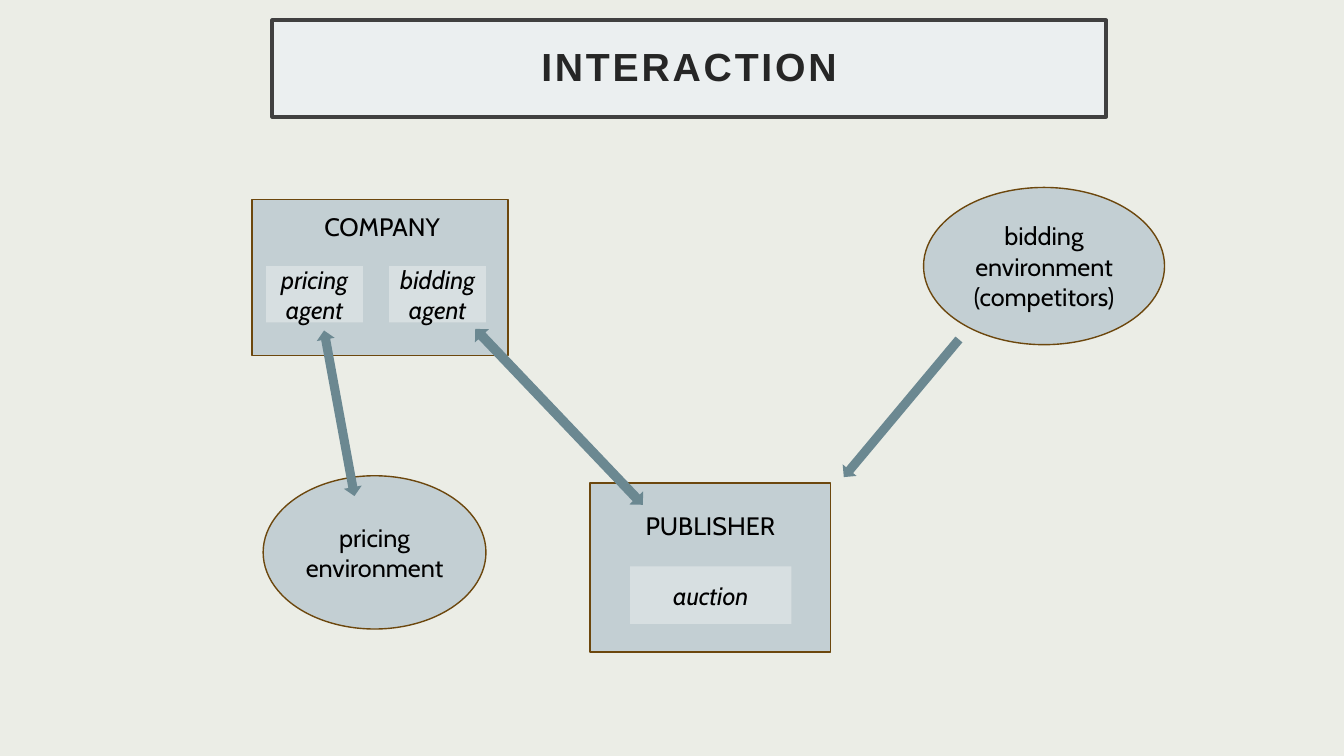
from pptx import Presentation
from pptx.dml.color import RGBColor
from pptx.enum.shapes import MSO_SHAPE as Preset
from pptx.enum.text import MSO_ANCHOR as Anchor, MSO_AUTO_SIZE as AutoSize, PP_ALIGN as Align
from pptx.util import Inches, Pt


def paint(color_format, value):
    color_format.rgb = RGBColor.from_string(value)


def write(frame, text, font="Cabin", size=18, color="000000", bold=False,
          italic=False, inset=None, line_spacing=None, tracking=None):
    frame.word_wrap = True
    frame.auto_size = AutoSize.NONE
    frame.vertical_anchor = Anchor.MIDDLE
    if inset is not None:
        frame.margin_left = frame.margin_right = Inches(inset)
        frame.margin_top = frame.margin_bottom = Inches(inset)
    for number, line in enumerate(text.split("\n")):
        paragraph = frame.add_paragraph() if number else frame.paragraphs[0]
        paragraph.alignment = Align.CENTER
        if line_spacing:
            paragraph.line_spacing = line_spacing
        run = paragraph.add_run()
        run.text = line
        run.font.name = font
        run.font.size = Pt(size)
        run.font.bold = bold
        run.font.italic = italic
        paint(run.font.color, color)
        if tracking:
            run.font._element.set("spc", str(tracking * 100))


class InteractionSlide:
    """Draw the elements of an interaction diagram in one shared style."""

    background = "EBEDE6"
    panel = "C3CFD3"
    inner = "D7DFE1"
    outline = "6C470D"
    arrow_fill = "6B8891"

    def __init__(self, deck):
        self.slide = deck.slides.add_slide(deck.slide_layouts[5])
        self.slide.background.fill.solid()
        paint(self.slide.background.fill.fore_color, self.background)

    def style(self, shape, fill, line=None, width=1):
        shape.fill.solid()
        paint(shape.fill.fore_color, fill)
        if line:
            paint(shape.line.color, line)
            shape.line.width = Pt(width)
        else:
            shape.line.fill.background()

    def add(self, preset, box, fill, line=None):
        shape = self.slide.shapes.add_shape(preset, *map(Inches, box))
        shape.shadow.inherit = False
        self.style(shape, fill, line)
        return shape

    def title(self, text, box):
        heading = self.slide.shapes.title
        heading.left, heading.top, heading.width, heading.height = map(Inches, box)
        self.style(heading, "EBEFF0", "404040", 2.5)
        write(heading.text_frame, text, font="Arial", size=28, color="262626",
              bold=True, inset=0.2, line_spacing=0.9, tracking=2)

    def party(self, box):
        self.add(Preset.RECTANGLE, box, self.panel, self.outline)

    def name(self, text, box):
        write(self.add(Preset.RECTANGLE, box, self.panel).text_frame, text)

    def role(self, text, box):
        write(self.add(Preset.RECTANGLE, box, self.inner).text_frame, text, italic=True)

    def environment(self, text, box):
        oval = self.add(Preset.OVAL, box, self.panel, self.outline)
        write(oval.text_frame, text)

    def arrow(self, preset, box, rotation):
        self.add(preset, box, self.arrow_fill).rotation = rotation


def main():
    deck = Presentation()
    deck.slide_width, deck.slide_height = Inches(13.33), Inches(7.5)
    diagram = InteractionSlide(deck)

    diagram.title("INTERACTION", (2.7, 0.2, 8.27, 0.96))

    diagram.party((2.5, 1.98, 2.54, 1.55))
    diagram.name("COMPANY", (2.64, 2.11, 2.3, 0.27))
    diagram.role("pricing\nagent", (2.64, 2.64, 0.96, 0.56))
    diagram.role("bidding agent", (3.86, 2.64, 0.96, 0.56))

    diagram.party((5.85, 4.79, 2.39, 1.68))
    diagram.name("PUBLISHER", (6.16, 5.03, 1.77, 0.37))
    diagram.role("auction", (6.25, 5.62, 1.6, 0.57))

    diagram.environment("pricing environment", (2.61, 4.72, 2.21, 1.52))
    diagram.environment("bidding environment\n(competitors)", (9.16, 1.86, 2.39, 1.56))

    diagram.arrow(Preset.LEFT_RIGHT_ARROW, (2.53, 4.01, 1.67, 0.18), 259.6)
    diagram.arrow(Preset.LEFT_RIGHT_ARROW, (4.34, 4.04, 2.41, 0.19), 226.4)
    diagram.arrow(Preset.UP_ARROW, (8.85, 3.16, 0.18, 1.78), 219.9)

    deck.save("out.pptx")


if __name__ == "__main__":
    main()
